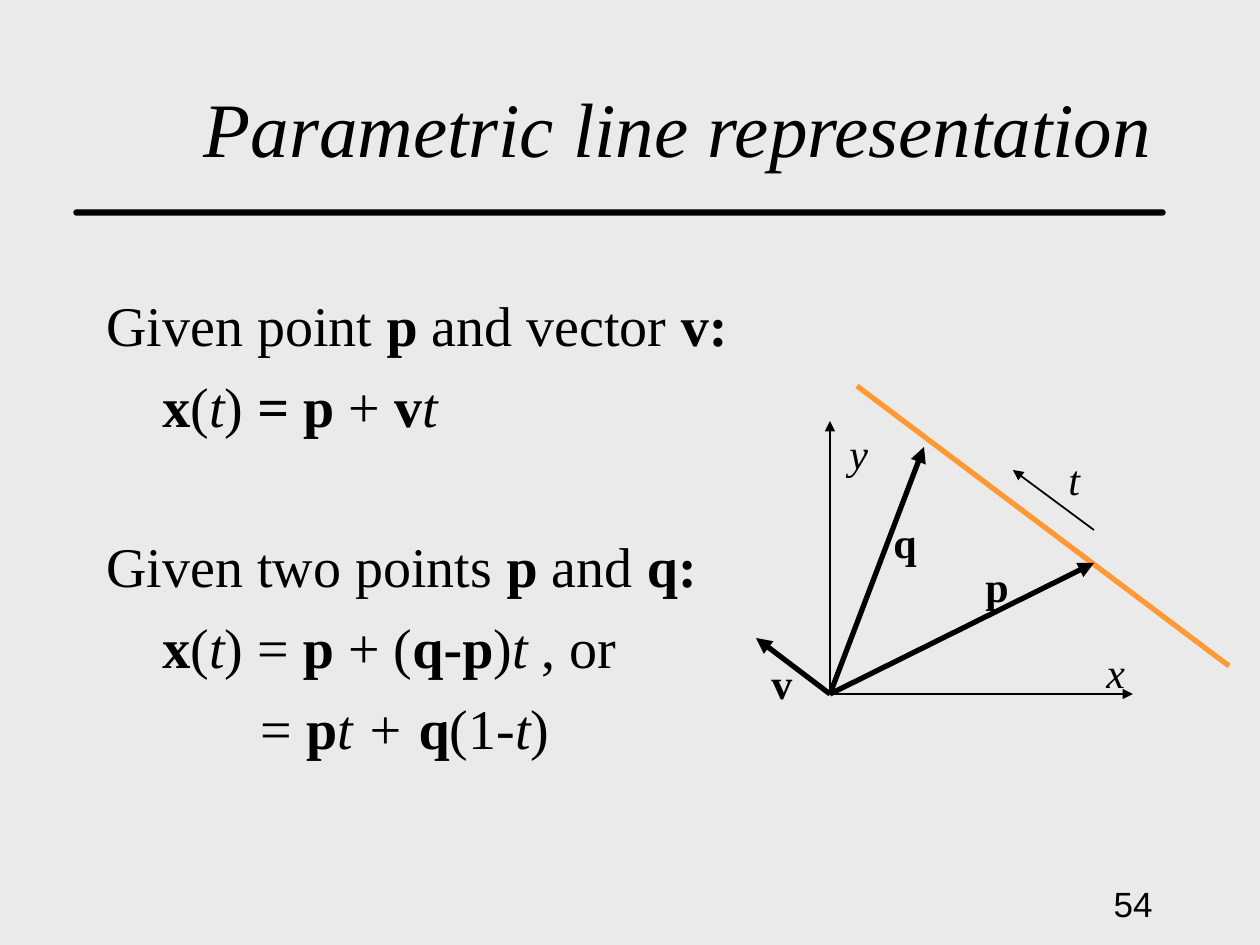
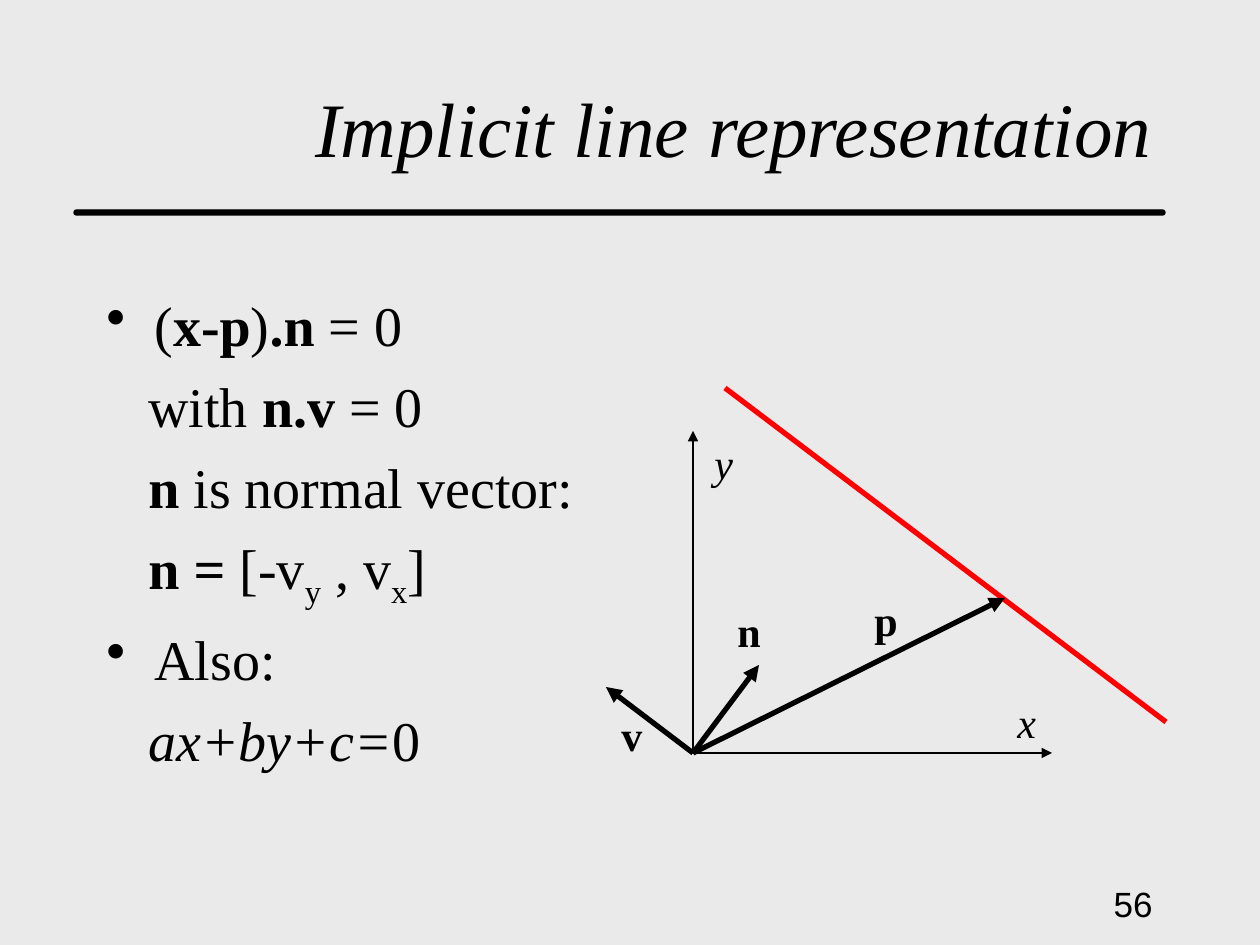
import pptx
import pptx.util
import pptx.dml.color
import pptx.enum.shapes
import pptx.enum.text
import pptx.oxml.ns
import lxml.etree

PX = 914400 / 126  # EMU in one px
INK, PAPER = "000000", "EAEAEA"
SERIF, SANS = "Times New Roman", "Arial"
ALIGN = pptx.enum.text.PP_ALIGN
ANCHOR = pptx.enum.text.MSO_ANCHOR
BODY_GAP = 8  # points between body lines
BLANK_GAP = 53  # points where a full line is left open

# Body line: (bullet, indent, space before, runs); run style: b, i or s (subscript)
slides = [
    {
        "title": "Parametric line representation", "number": "54", "width": 664,
        "body": [
            (False, 0, 0, [("Given point ", ""), ("p ", "b"), ("and vector ", ""), ("v:", "b")]),
            (False, 56, BODY_GAP, [("x", "b"), ("(", ""), ("t", "i"), (")", ""), (" = p ", "b"),
                                   ("+ ", ""), ("v", "b"), ("t", "i")]),
            (False, 0, BLANK_GAP, [("Given two points ", ""), ("p ", "b"), ("and ", ""),
                                   ("q:", "b")]),
            (False, 56, BODY_GAP, [("x", "b"), ("(", ""), ("t", "i"), (") = ", ""), ("p ", "b"),
                                   ("+ (", ""), ("q-p", "b"), (")", ""), ("t ", "i"),
                                   (", or", "")]),
            (False, 154, BODY_GAP, [("= ", ""), ("p", "b"), ("t + ", "i"), ("q", "b"),
                                    ("(1-", ""), ("t", "i"), (")", "")]),
        ],
        "origin": (830, 694), "top": 421, "right": 1133,
        "line": ((857, 386), (1229, 666), "FF9933"),
        "vectors": [(1094, 563), (756, 638), (924, 447)],
        "step": ((1094, 530), (1013, 470)),
        "labels": [("x", "i", 1094, 640), ("y", "i", 837, 421), ("p", "b", 973, 554),
                   ("v", "b", 759, 651), ("t", "i", 1056, 447), ("q", "b", 881, 510)],
    },
    {
        "title": "Implicit line representation", "number": "56", "width": 514,
        "body": [
            (True, 48, 0, [("(", ""), ("x-p", "b"), (")", ""), (".n ", "b"), ("= 0", "")]),
            (False, 42, BODY_GAP, [("with ", ""), ("n.v", "b"), (" = 0", "")]),
            (False, 42, BODY_GAP, [("n ", "b"), ("is normal vector:", "")]),
            (False, 42, BODY_GAP, [("n = ", "b"), ("[-v", ""), ("y", "s"), (" , v", ""),
                                   ("x", "s"), ("]", "")]),
            (True, 48, BODY_GAP, [("Also:", "")]),
            (False, 42, BODY_GAP, [("ax+by+c=", "i"), ("0", "")]),
        ],
        "origin": (693, 753), "top": 431, "right": 1052,
        "line": ((725, 388), (1166, 722), "FF0000"),
        "vectors": [(1005, 598), (606, 687), (759, 665)],
        "step": None,
        "labels": [("x", "i", 1005, 690), ("y", "i", 702, 431), ("p", "b", 862, 588),
                   ("v", "b", 609, 703), ("n", "b", 725, 599)],
    },
]


def emu(*spans):
    return [round(span * PX) for span in spans]


def tint(code):
    return pptx.dml.color.RGBColor.from_string(code)


deck = pptx.Presentation()
deck.slide_width, deck.slide_height = emu(1260, 945)

for data in slides:
    slide = deck.slides.add_slide(deck.slide_layouts[6])
    slide.background.fill.solid()
    slide.background.fill.fore_color.rgb = tint(PAPER)

    # Rule under the title
    rule = slide.shapes.add_shape(pptx.enum.shapes.MSO_SHAPE.ROUNDED_RECTANGLE,
                                  *emu(74, 210, 1091, 5))
    rule.adjustments[0] = 0.5
    rule.shadow.inherit = False
    rule.fill.solid()
    rule.fill.fore_color.rgb = tint(INK)
    rule.line.color.rgb = tint(INK)
    rule.line.width = pptx.util.Pt(0.75)

    # Axes
    left, base = data["origin"]
    path = slide.shapes.build_freeform(left, data["top"], scale=PX)
    path.add_line_segments([(left, base), (data["right"], base)], close=False)
    axes = path.convert_to_shape()
    axes.shadow.inherit = False
    axes.fill.background()

    # Lines: shape, colour, width, arrowheads
    strokes = [(axes, INK, 1, ("headEnd", "tailEnd"))]
    start, end, hue = data["line"]
    links = [(start, end, hue, 3, ())]
    links += [(data["origin"], tip, INK, 3, ("tailEnd",)) for tip in data["vectors"]]
    if data["step"]:
        links.append((*data["step"], INK, 1, ("tailEnd",)))
    for start, end, hue, width, heads in links:
        link = slide.shapes.add_connector(pptx.enum.shapes.MSO_CONNECTOR.STRAIGHT,
                                          *emu(*start, *end))
        strokes.append((link, hue, width, heads))
    for stroke, hue, width, heads in strokes:
        stroke.line.color.rgb = tint(hue)
        stroke.line.width = pptx.util.Pt(width)
        edge = stroke.line._get_or_add_ln()
        for head in heads:
            lxml.etree.SubElement(edge, pptx.oxml.ns.qn("a:" + head), type="triangle")
        if stroke is not axes:
            lxml.etree.SubElement(stroke._element.spPr, pptx.oxml.ns.qn("a:effectLst"))

    # Text: place, size, font, alignment, anchor, wrap, lines
    texts = [
        ((94, 53, 1071, 126), 44, SERIF, ALIGN.RIGHT, ANCHOR.BOTTOM, True,
         [(False, 0, 0, [(data["title"], "i")])]),
        ((94, 284, data["width"], 567), 32, SERIF, ALIGN.LEFT, ANCHOR.TOP, True, data["body"]),
        ((903, 872, 262, 63), 20, SANS, ALIGN.RIGHT, ANCHOR.MIDDLE, False,
         [(False, 0, 0, [(data["number"], "")])]),
    ]
    for name, style, x, y in data["labels"]:
        texts.append(((x, y, 46, 63), 24, SERIF, ALIGN.LEFT, ANCHOR.TOP, False,
                      [(False, 0, 0, [(name, style)])]))

    for place, size, face, align, anchor, wrap, lines in texts:
        frame = slide.shapes.add_textbox(*emu(*place)).text_frame
        frame.word_wrap = wrap
        frame.vertical_anchor = anchor
        for index, (bullet, indent, gap, runs) in enumerate(lines):
            para = frame.add_paragraph() if index else frame.paragraphs[0]
            para.alignment = align
            props = para._p.get_or_add_pPr()
            if indent:
                props.set("marL", str(emu(indent)[0]))
            if bullet:
                props.set("indent", str(emu(-indent)[0]))
                lxml.etree.SubElement(props, pptx.oxml.ns.qn("a:buChar"), char="•")
            if gap:
                para.space_before = pptx.util.Pt(gap)
            for words, style in runs:
                run = para.add_run()
                run.text = words
                run.font.name = face
                run.font.size = pptx.util.Pt(size)
                run.font.color.rgb = tint(INK)
                run.font.bold = style == "b"
                run.font.italic = style == "i"
                if style == "s":
                    run.font._element.set("baseline", "-25000")

deck.save("out.pptx")
